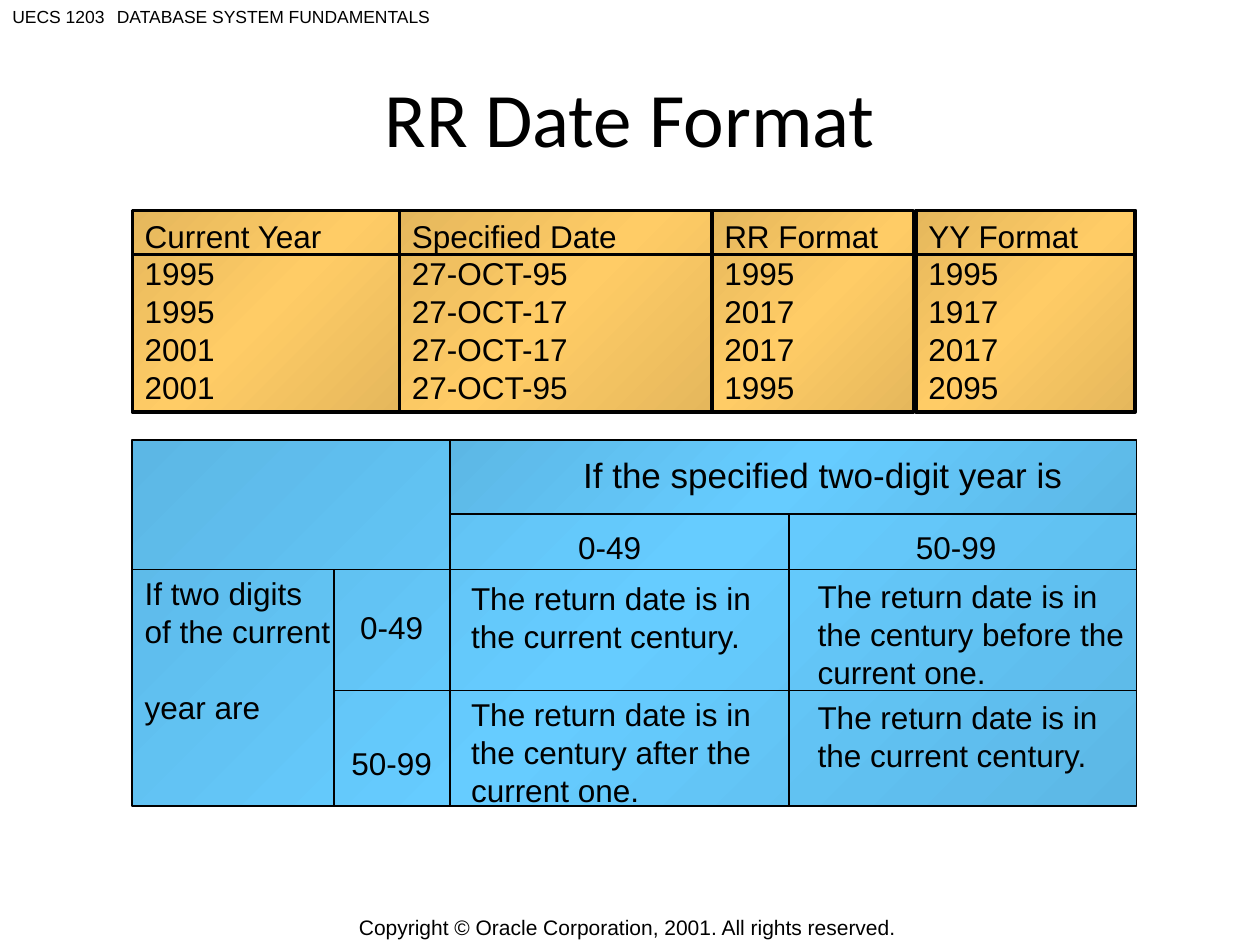
from lxml.etree import SubElement
from pptx import Presentation
from pptx.dml.color import RGBColor
from pptx.enum.shapes import MSO_CONNECTOR, MSO_SHAPE
from pptx.enum.text import MSO_ANCHOR, PP_ALIGN
from pptx.oxml import parse_xml
from pptx.oxml.ns import nsdecls, qn
from pptx.util import Inches, Pt

COLORS = {
    "ink": "000000",
    "gold": "FFCC66",
    "gold_edge": "E5B75C",
    "sky": "66CCFF",
    "sky_edge": "5CB7E5",
}
LINE_RATIO = 1.2


class DateFormatSlide:
    """Draws styled elements on one page."""

    def __init__(self, page, font="Arial", size=18):
        self.page = page
        self.font = font
        self.size = size

    def fill_text(self, frame, lines, size=None, font=None, gap=0, **paragraph_format):
        """Set one paragraph per line; gap is the space between them in points."""
        size = size or self.size
        for index, line in enumerate(lines):
            para = frame.paragraphs[0] if index == 0 else frame.add_paragraph()
            values = {"alignment": PP_ALIGN.LEFT, **paragraph_format}
            if font is None:
                values["line_spacing"] = Pt(size * LINE_RATIO)
            if index and gap:
                values["space_before"] = Pt(gap)
            for name, value in values.items():
                setattr(para, name, value)
            span = para.add_run()
            span.text = line
            span.font.name = font or self.font
            span.font.size = Pt(size)
            span.font.color.rgb = RGBColor.from_string(COLORS["ink"])

    def text(self, left, top, width, height, *lines,
             anchor=MSO_ANCHOR.TOP, wrap=True, **style):
        box = self.page.shapes.add_textbox(*map(Inches, (left, top, width, height)))
        box.text_frame.word_wrap = wrap
        box.text_frame.vertical_anchor = anchor
        self.fill_text(box.text_frame, lines, **style)

    def panel(self, left, top, width, height, color, weight, lines=()):
        """Add an outlined rectangle shaded diagonally from edge to centre to edge."""
        panel = self.page.shapes.add_shape(
            MSO_SHAPE.RECTANGLE, *map(Inches, (left, top, width, height)))
        panel.shadow.inherit = False
        panel.line.color.rgb = RGBColor.from_string(COLORS["ink"])
        panel.line.width = Pt(weight)
        edge, middle = COLORS[color + "_edge"], COLORS[color]
        stops = "".join(
            f'<a:gs pos="{position}"><a:srgbClr val="{value}"/></a:gs>'
            for position, value in ((0, edge), (50000, middle), (100000, edge)))
        gradient = parse_xml(
            f'<a:gradFill {nsdecls("a")} rotWithShape="1"><a:gsLst>{stops}</a:gsLst>'
            '<a:lin ang="2700000" scaled="1"/></a:gradFill>')
        panel._element.spPr.find(qn("a:prstGeom")).addnext(gradient)
        panel.text_frame.word_wrap = True
        panel.text_frame.vertical_anchor = MSO_ANCHOR.TOP
        self.fill_text(panel.text_frame, lines)

    def rule(self, x1, y1, x2, y2, weight=1):
        rule = self.page.shapes.add_connector(
            MSO_CONNECTOR.STRAIGHT, *map(Inches, (x1, y1, x2, y2)))
        rule.line.color.rgb = RGBColor.from_string(COLORS["ink"])
        rule.line.width = Pt(weight)
        SubElement(rule._element.spPr, qn("a:effectLst"))


def add_headings(slide):
    slide.text(0, 0, 1.08, 0.27, "UECS 1203", size=10)
    slide.text(0.83, 0, 3.17, 0.27, "DATABASE SYSTEM FUNDAMENTALS", size=10)
    slide.text(2.75, 7.25, 4.49, 0.21,
               "Copyright © Oracle Corporation, 2001. All rights reserved.",
               size=12, anchor=MSO_ANCHOR.MIDDLE, wrap=False)
    slide.text(0.5, 0.3, 9, 1.25, "RR Date Format", size=44, font="Calibri",
               anchor=MSO_ANCHOR.MIDDLE, alignment=PP_ALIGN.CENTER)


def add_examples(slide):
    columns = [
        (1.05, 2.12, ("Current Year", "1995", "1995", "2001", "2001")),
        (3.17, 2.48, ("Specified Date", "27-OCT-95", "27-OCT-17", "27-OCT-17", "27-OCT-95")),
        (5.65, 1.6, ("RR Format", "1995", "2017", "2017", "1995")),
        (7.27, 1.74, ("YY Format", "1995", "1917", "2017", "2095")),
    ]
    for left, width, lines in columns:
        slide.panel(left, 1.67, width, 1.6, "gold", 2, lines)
    slide.rule(1.04, 2.02, 9.02, 2.02, 2)


def add_century_matrix(slide):
    left, right, top, bottom = 1.05, 9.02, 3.49, 6.4
    label_x, first_x, second_x = 2.65, 3.57, 6.26
    header_bottom, first_y, second_y = 4.08, 4.52, 5.48

    slide.panel(left, top, right - left, bottom - top, "sky", 1)
    slide.panel(first_x, top, right - first_x, header_bottom - top, "sky", 1)
    slide.rule(left, first_y, right, first_y)
    slide.rule(label_x, second_y, right, second_y)
    slide.rule(label_x, first_y, label_x, bottom)
    for x in (first_x, second_x):
        slide.rule(x, header_bottom, x, bottom)

    slide.text(4.53, 3.55, 4.48, 0.43, "If the specified two-digit year is", size=20)
    slide.text(left, 4.51, 1.71, 1.3, "If two digits of the current", "year are",
               gap=slide.size * LINE_RATIO)
    for x, y, label in ((4.49, 4.14, "0-49"), (7.17, 4.14, "50-99"),
                        (2.76, 4.78, "0-49"), (2.69, 5.86, "50-99")):
        slide.text(x, y, 0.88, 0.4, label)
    answers = [
        (3.64, 4.55, "current century."),
        (6.39, 4.53, "century before the current one."),
        (3.64, 5.47, "century after the current one."),
        (6.39, 5.49, "current century."),
    ]
    for x, y, century in answers:
        slide.text(x, y, 2.69, 1, f"The return date is in the {century}")


def main():
    deck = Presentation()
    deck.slide_width, deck.slide_height = Inches(10), Inches(7.5)
    slide = DateFormatSlide(deck.slides.add_slide(deck.slide_layouts[6]))
    add_headings(slide)
    add_examples(slide)
    add_century_matrix(slide)
    deck.save("out.pptx")


if __name__ == "__main__":
    main()
